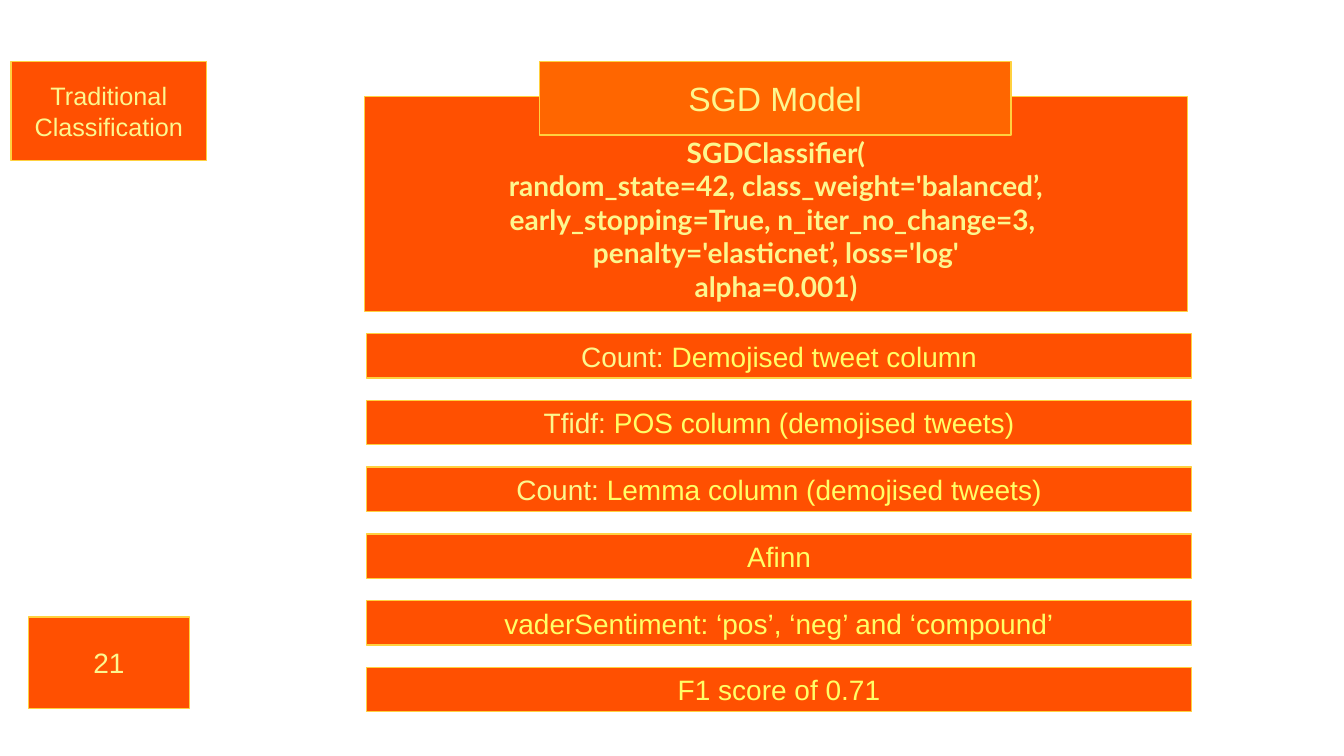
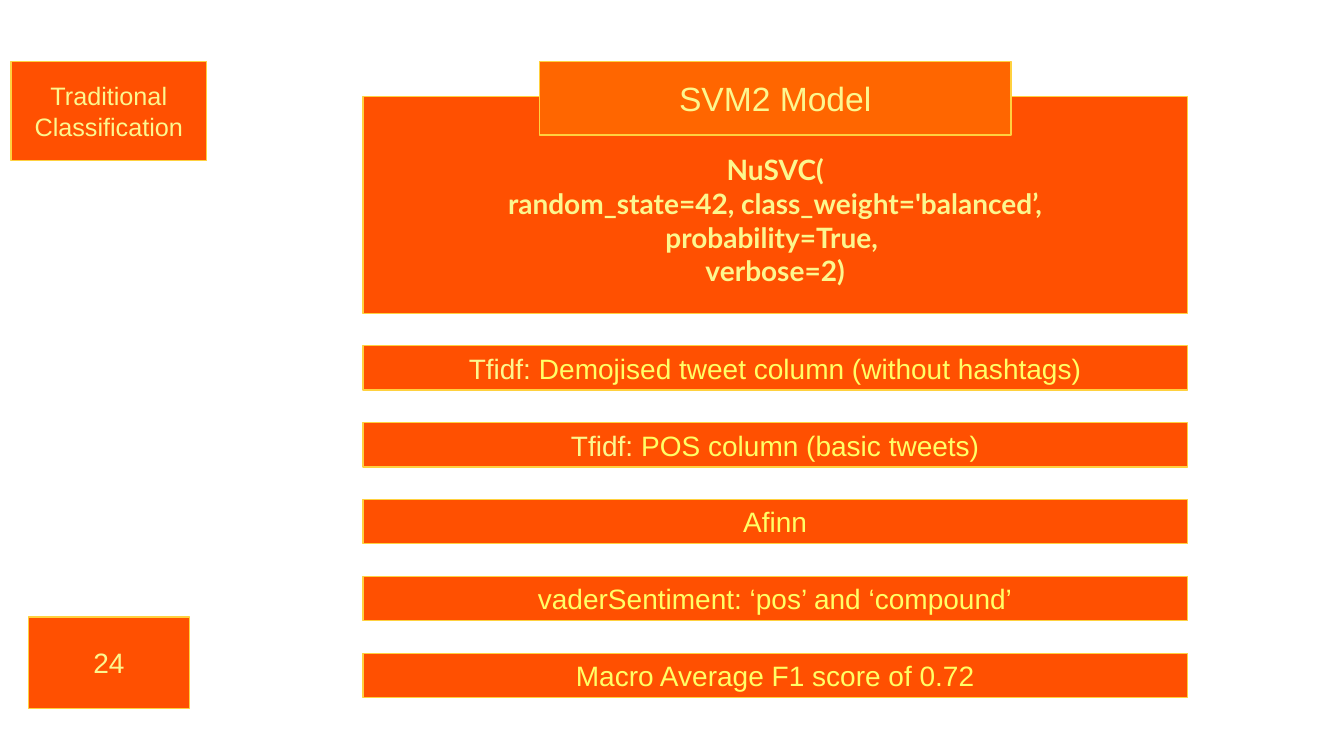
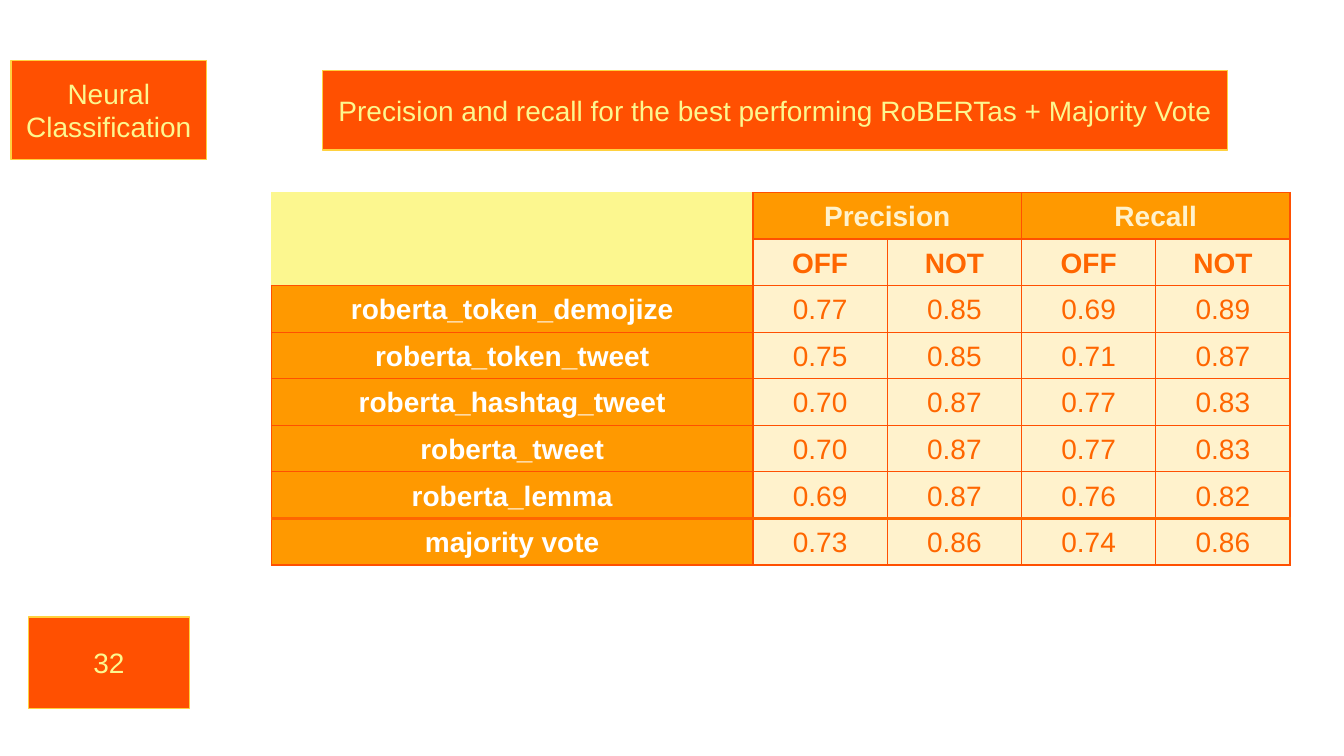
from lxml import etree
from pptx import Presentation
from pptx.dml.color import RGBColor
from pptx.enum.shapes import MSO_SHAPE
from pptx.enum.text import MSO_ANCHOR, MSO_AUTO_SIZE, PP_ALIGN
from pptx.oxml.ns import qn
from pptx.util import Pt

# Shared look
RED, ORANGE, AMBER = "FF5001", "FF6600", "FF9900"
GOLD, PALE, YELLOW, CREAM, WHITE = "FFD13F", "FCF78F", "FFFF66", "FFF2CC", "FFFFFF"
MODEL_TITLE = (385.2, 43.9, 337, 52.6)
NUMBER_BOX = (20.2, 440.6, 115.2, 65.5)
BAR_HEIGHT = 31.7


def color(value):
    return RGBColor.from_string(value)


def style_box(box, place, lines, size=20, fill=RED, font="Arial", bold=False):
    """Place a box and fill it with lines, each a list of (text, colour) spans."""
    box.left, box.top, box.width, box.height = [Pt(value) for value in place]
    box.fill.solid()
    box.fill.fore_color.rgb = color(fill)
    box.line.color.rgb = color(GOLD)
    box.line.width = Pt(1)
    frame = box.text_frame
    frame.word_wrap = True
    frame.auto_size = MSO_AUTO_SIZE.NONE
    frame.vertical_anchor = MSO_ANCHOR.MIDDLE
    for index, line in enumerate(lines):
        para = frame.add_paragraph() if index else frame.paragraphs[0]
        para.alignment = PP_ALIGN.CENTER
        for text, ink in line:
            span = para.add_run()
            span.text = text
            span.font.name = font
            span.font.size = Pt(size)
            span.font.bold = bold
            span.font.color.rgb = color(ink)


deck = Presentation()
deck.slide_width, deck.slide_height = Pt(960), Pt(540)

# What each slide holds
models = [
    {
        "panel": (260.6, 69.1, 587.5, 153.4),
        "code": [
            "SGDClassifier(",
            "random_state=42, class_weight='balanced’,",
            "early_stopping=True, n_iter_no_change=3, ",
            "penalty='elasticnet’, loss='log'",
            "alpha=0.001)",
        ],
        "bars": (262, 238.3, 47.7),
        "features": [
            ("Count: ", "Demojised tweet column"),
            ("Tfidf: ", "POS column (demojised tweets)"),
            ("Count: ", "Lemma column (demojised tweets)"),
            ("", "Afinn"),
            ("", "vaderSentiment: ‘pos’, ‘neg’ and ‘compound’"),
            ("", "F1 score of 0.71"),
        ],
    },
    {
        "panel": (259.2, 69.1, 589, 154.8),
        "code": [
            "NuSVC(",
            "random_state=42, class_weight='balanced’,",
            "probability=True, ",
            "verbose=2)",
        ],
        "bars": (259.2, 247, 54.9),
        "features": [
            ("Tfidf: ", "Demojised tweet column (without hashtags)"),
            ("Tfidf: ", "POS column (basic tweets)"),
            ("", "Afinn"),
            ("", "vaderSentiment: ‘pos’ and ‘compound’"),
            ("", "Macro Average F1 score of 0.72"),
        ],
    },
]
headings = [
    # title, title place, title size, title fill, section, section top, section size, number
    ("SGD Model", MODEL_TITLE, 24, ORANGE, "Traditional Classification", 43.9, 18, "21"),
    ("SVM2 Model", MODEL_TITLE, 24, ORANGE, "Traditional Classification", 43.9, 18, "24"),
    ("Precision and recall for the best performing RoBERTas + Majority Vote",
     (230.4, 50.4, 646.6, 56.9), 20, RED, "Neural Classification", 43.2, 20, "32"),
]

# Title, section tag and number box on every slide
pages = []
for title, place, size, fill, section, top, section_size, number in headings:
    page = deck.slides.add_slide(deck.slide_layouts[5])
    style_box(page.shapes.title, place, [[(title, PALE)]], size, fill)
    for spot, text, text_size in [
        ((7.9, top, 139.7, 70.6), section, section_size),
        (NUMBER_BOX, number, 20),
    ]:
        box = page.shapes.add_shape(MSO_SHAPE.RECTANGLE, 0, 0, 0, 0)
        box.shadow.inherit = False
        style_box(box, spot, [[(text, PALE)]], text_size)
    pages.append(page)

# Model slides: code panel under the title, then evenly spaced feature bars
for page, model in zip(pages, models):
    panel = page.shapes.add_shape(MSO_SHAPE.RECTANGLE, 0, 0, 0, 0)
    panel.shadow.inherit = False
    code = [[(line, PALE)] for line in model["code"]]
    style_box(panel, model["panel"], code, font="Lato", bold=True)
    panel.text_frame.margin_top = Pt(25)
    panel.element.addnext(page.shapes.title.element)

    left, top, pitch = model["bars"]
    for index, (source, feature) in enumerate(model["features"]):
        bar = page.shapes.add_shape(MSO_SHAPE.RECTANGLE, 0, 0, 0, 0)
        bar.shadow.inherit = False
        spans = [(source, PALE)] if source else []
        place = (left, top + index * pitch, 589, BAR_HEIGHT)
        style_box(bar, place, [spans + [(feature, YELLOW)]])

# Score table
rows = [
    ["", "Precision", "", "Recall", ""],
    ["", "OFF", "NOT", "OFF", "NOT"],
    ["roberta_token_demojize", "0.77", "0.85", "0.69", "0.89"],
    ["roberta_token_tweet", "0.75", "0.85", "0.71", "0.87"],
    ["roberta_hashtag_tweet", "0.70", "0.87", "0.77", "0.83"],
    ["roberta_tweet", "0.70", "0.87", "0.77", "0.83"],
    ["roberta_lemma", "0.69", "0.87", "0.76", "0.82"],
    ["majority vote", "0.73", "0.86", "0.74", "0.86"],
]
last = len(rows) - 1
table = pages[2].shapes.add_table(
    len(rows), 5, Pt(193.9), Pt(137.4), Pt(722), Pt(266.4)).table
table.first_row = table.horz_banding = False
for index, column in enumerate(table.columns):
    column.width = Pt(95.9 if index else 344)
for row in table.rows:
    row.height = Pt(33.3)
for first, end in [((0, 0), (1, 0)), ((0, 1), (0, 2)), ((0, 3), (0, 4))]:
    table.cell(*first).merge(table.cell(*end))

for r, texts in enumerate(rows):
    for c, text in enumerate(texts):
        cell = table.cell(r, c)
        corner = r < 2 and c == 0
        if corner:
            fill, ink = PALE, PALE
        elif r == 0:
            fill, ink = AMBER, CREAM
        elif c == 0:
            fill, ink = AMBER, WHITE
        else:
            fill, ink = CREAM, ORANGE
        cell.fill.solid()
        cell.fill.fore_color.rgb = color(fill)
        cell.vertical_anchor = MSO_ANCHOR.MIDDLE
        cell.margin_left = cell.margin_right = Pt(5)
        cell.margin_top = cell.margin_bottom = 0
        if text:
            para = cell.text_frame.paragraphs[0]
            para.alignment = PP_ALIGN.CENTER
            para.line_spacing = 1.07
            span = para.add_run()
            span.text = text
            span.font.name = "Arial"
            span.font.size = Pt(20)
            span.font.bold = r < 2 or c == 0
            span.font.color.rgb = color(ink)

        # Borders: open corner, heavier rule above the last row
        properties = cell._tc.get_or_add_tcPr()
        for position, side in enumerate("LRTB"):
            heavy = (r, side) in [(last - 1, "B"), (last, "T")]
            edge = etree.Element(qn("a:ln" + side), w=str(Pt(2.25 if heavy else 1)))
            if corner and side in "LT":
                etree.SubElement(edge, qn("a:noFill"))
            else:
                paint = etree.SubElement(edge, qn("a:solidFill"))
                etree.SubElement(paint, qn("a:srgbClr"), val=ORANGE if heavy else RED)
            properties.insert(position, edge)

deck.save("out.pptx")
